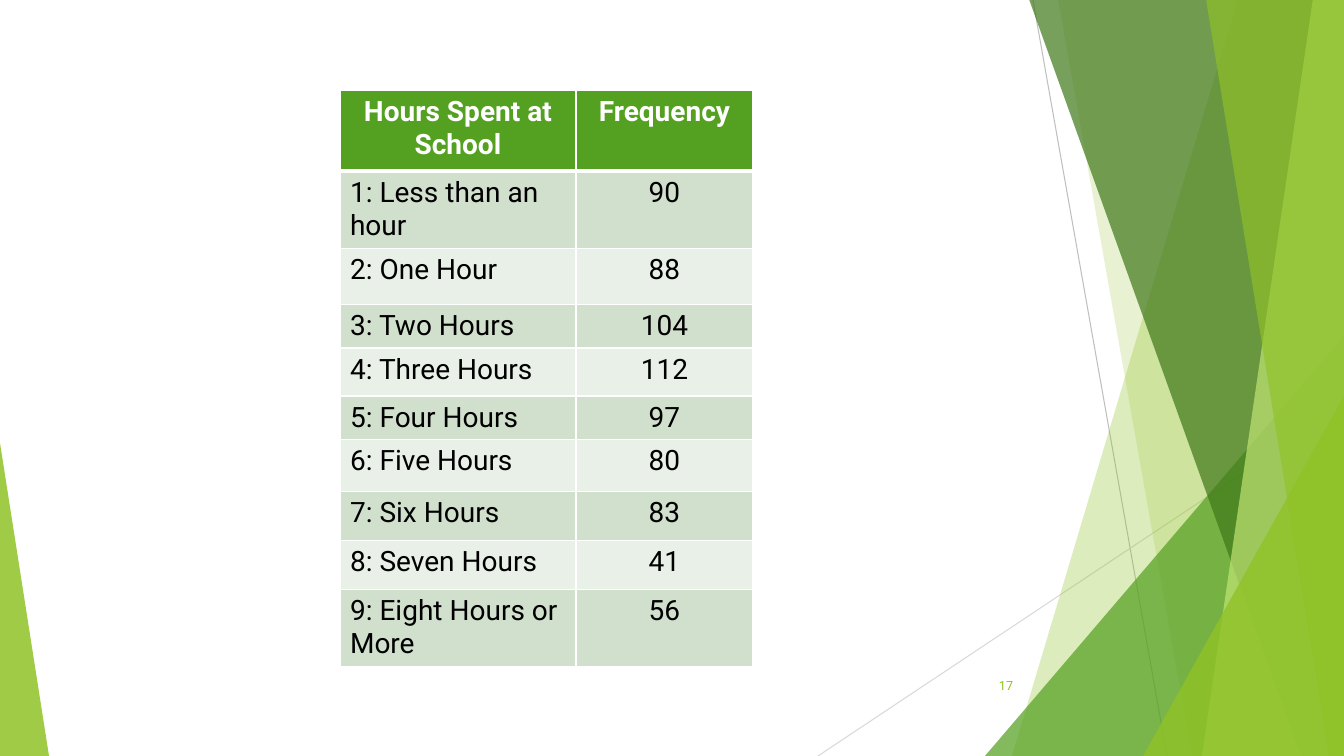
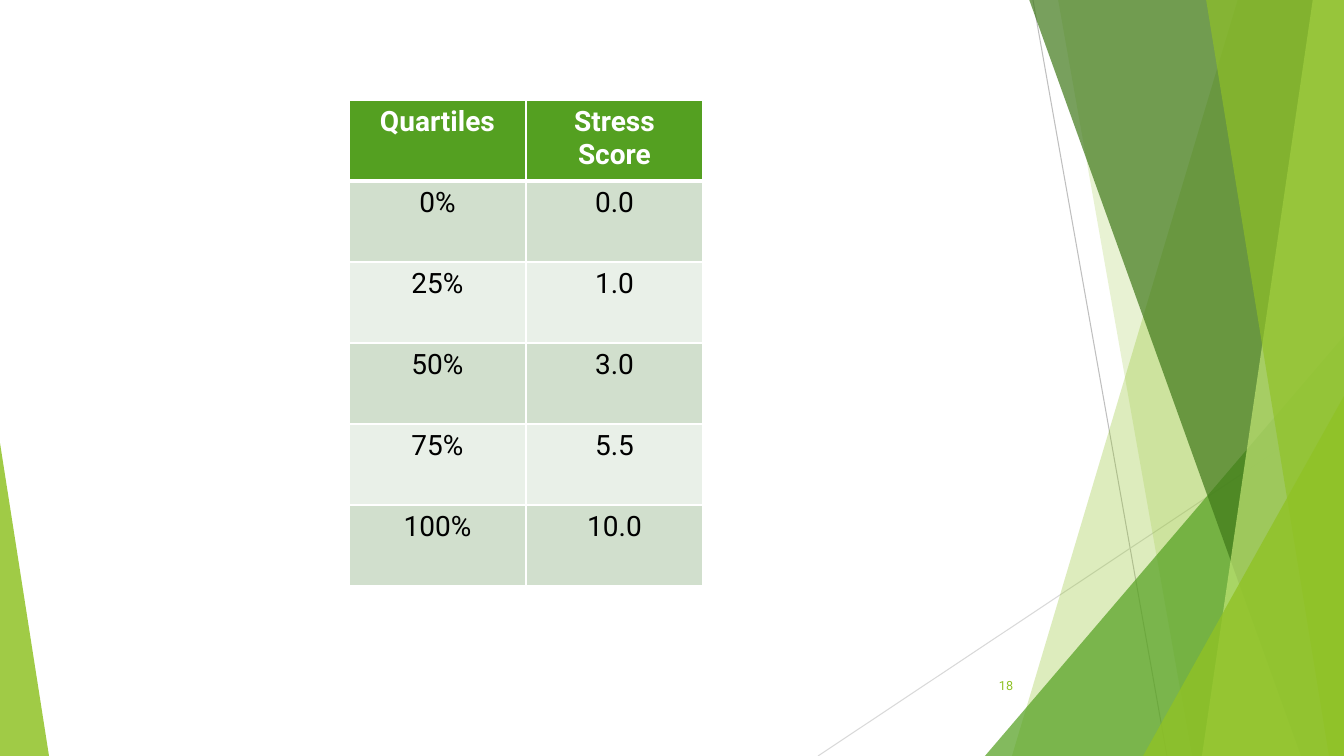
from lxml.etree import SubElement
from pptx import Presentation
from pptx.dml.color import RGBColor
from pptx.enum.shapes import MSO_CONNECTOR, MSO_SHAPE
from pptx.enum.text import MSO_ANCHOR, PP_ALIGN
from pptx.oxml.ns import qn
from pptx.util import Emu, Pt

WIDTH, HEIGHT = 1344, 756
PX = 12192000 / WIDTH
FONT = "Roboto"

LIME = RGBColor(0x90, 0xC2, 0x26)
PALE_LIME = RGBColor(0xC0, 0xE4, 0x74)
GREEN = RGBColor(0x54, 0xA0, 0x21)
DARK_GREEN = RGBColor(0x3F, 0x78, 0x19)
GREY = RGBColor(0xBF, 0xBF, 0xBF)
LIGHT_GREY = RGBColor(0xD9, 0xD9, 0xD9)
ROW_TINTS = [RGBColor(0xD1, 0xDF, 0xCD), RGBColor(0xE9, 0xF0, 0xE8)]
WHITE = RGBColor(0xFF, 0xFF, 0xFF)
BLACK = RGBColor(0, 0, 0)

LEFT, CENTER = PP_ALIGN.LEFT, PP_ALIGN.CENTER

SLIDES = [
    {
        "number": 17,
        "corner": (340, 90),
        "columns": [236, 177],
        "heights": [81, 75, 56, 43, 48, 43, 52, 49, 49, 75],
        "aligns": [LEFT, CENTER],
        "rows": [
            ("Hours Spent at School", "Frequency"),
            ("1: Less than an hour", "90"),
            ("2: One Hour", "88"),
            ("3: Two Hours", "104"),
            ("4: Three Hours", "112"),
            ("5: Four Hours", "97"),
            ("6: Five Hours", "80"),
            ("7: Six Hours", "83"),
            ("8: Seven Hours", "41"),
            ("9: Eight Hours or More", "56"),
        ],
    },
    {
        "number": 18,
        "corner": (349, 100),
        "columns": [177, 177],
        "heights": [81] * 6,
        "aligns": [CENTER, CENTER],
        "rows": [
            ("Quartiles", "Stress Score"),
            ("0%", "0.0"),
            ("25%", "1.0"),
            ("50%", "3.0"),
            ("75%", "5.5"),
            ("100%", "10.0"),
        ],
    },
]

RAYS = [
    ((1033, 0, 1167, HEIGHT), GREY),
    ((WIDTH, 406, 818, HEIGHT), LIGHT_GREY),
]

# Each facet is either a band (top x, bottom x) or a triangle (left, top, width, apex).
FACETS = [
    ("band", (1238, 1012), LIME, 30),
    ("band", (1058, 1192), LIME, 20),
    ("triangle", (985, 336, 359, 1), GREEN, 72),
    ("band", (1029, 1301), DARK_GREEN, 70),
    ("band", (1313, 1202), PALE_LIME, 70),
    ("band", (1206, 1329), LIME, 65),
    ("triangle", (1143, 396, 201, 1), LIME, 80),
    ("triangle", (0, 443, 49, 0), LIME, 85),
]


def emu(*lengths):
    return [Emu(round(length * PX)) for length in lengths]


def add_ray(slide, ends, color):
    ray = slide.shapes.add_connector(MSO_CONNECTOR.STRAIGHT, *emu(*ends))
    ray.line.color.rgb = color
    ray.line.width = Pt(0.75)
    SubElement(ray._element.spPr, qn("a:effectLst"))


def add_band(slide, top_x, bottom_x):
    outline = slide.shapes.build_freeform(top_x, -1, scale=PX)
    outline.add_line_segments([(WIDTH, -1), (WIDTH, HEIGHT), (bottom_x, HEIGHT)])
    return outline.convert_to_shape()


def add_triangle(slide, left, top, width, apex):
    box = emu(left, top, width, HEIGHT - top)
    triangle = slide.shapes.add_shape(MSO_SHAPE.ISOSCELES_TRIANGLE, *box)
    triangle.adjustments[0] = apex
    return triangle


def add_facet(slide, kind, geometry, color, opacity):
    build = add_band if kind == "band" else add_triangle
    facet = build(slide, *geometry)
    facet.shadow.inherit = False
    facet.line.fill.background()
    facet.fill.solid()
    facet.fill.fore_color.rgb = color
    tint = facet._element.spPr.find(qn("a:solidFill"))[0]
    SubElement(tint, qn("a:alpha"), val=str(opacity * 1000))


def write(frame, text, align, size, color, bold=False):
    paragraph = frame.paragraphs[0]
    paragraph.alignment = align
    run = paragraph.add_run()
    run.text = text
    font = run.font
    font.name, font.size, font.bold = FONT, Pt(size), bold
    font.color.rgb = color


def add_page_number(slide, number):
    frame = slide.shapes.add_textbox(*emu(947, 666, 76, 40)).text_frame
    frame.word_wrap = True
    frame.vertical_anchor = MSO_ANCHOR.MIDDLE
    write(frame, str(number), PP_ALIGN.RIGHT, 9, LIME)


def add_borders(cell, row):
    widths = {"L": 1, "R": 1, "T": 3 if row == 1 else 1, "B": 3 if row == 0 else 1}
    properties = cell._tc.get_or_add_tcPr()
    for side, width in widths.items():
        edge = SubElement(properties, qn(f"a:ln{side}"), w=str(Pt(width)))
        paint = SubElement(edge, qn("a:solidFill"))
        SubElement(paint, qn("a:srgbClr"), val=str(WHITE))


def add_frequency_table(slide, content):
    rows, columns, heights = content["rows"], content["columns"], content["heights"]
    box = emu(*content["corner"], sum(columns), sum(heights))
    table = slide.shapes.add_table(len(rows), len(columns), *box).table
    table.horz_banding = False
    for column, width in zip(table.columns, emu(*columns)):
        column.width = width
    for row, height in zip(table.rows, emu(*heights)):
        row.height = height
    for r, texts in enumerate(rows):
        header = r == 0
        for c, text in enumerate(texts):
            cell = table.cell(r, c)
            add_borders(cell, r)
            cell.fill.solid()
            cell.fill.fore_color.rgb = GREEN if header else ROW_TINTS[(r - 1) % 2]
            align = CENTER if header else content["aligns"][c]
            write(cell.text_frame, text, align, 20, WHITE if header else BLACK, header)


def main():
    deck = Presentation()
    deck.slide_width, deck.slide_height = emu(WIDTH, HEIGHT)
    for content in SLIDES:
        slide = deck.slides.add_slide(deck.slide_layouts[6])
        for ray in RAYS:
            add_ray(slide, *ray)
        for facet in FACETS:
            add_facet(slide, *facet)
        add_page_number(slide, content["number"])
        add_frequency_table(slide, content)
    deck.save("out.pptx")


if __name__ == "__main__":
    main()
